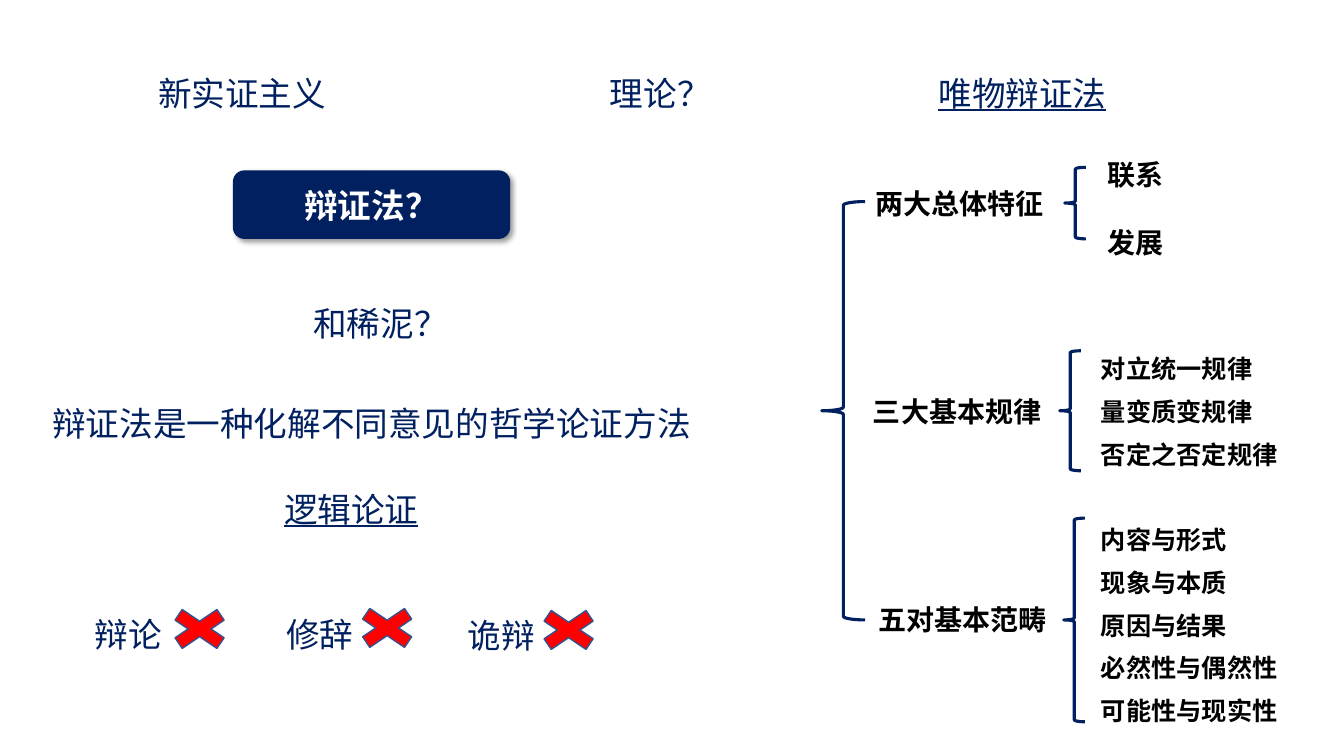
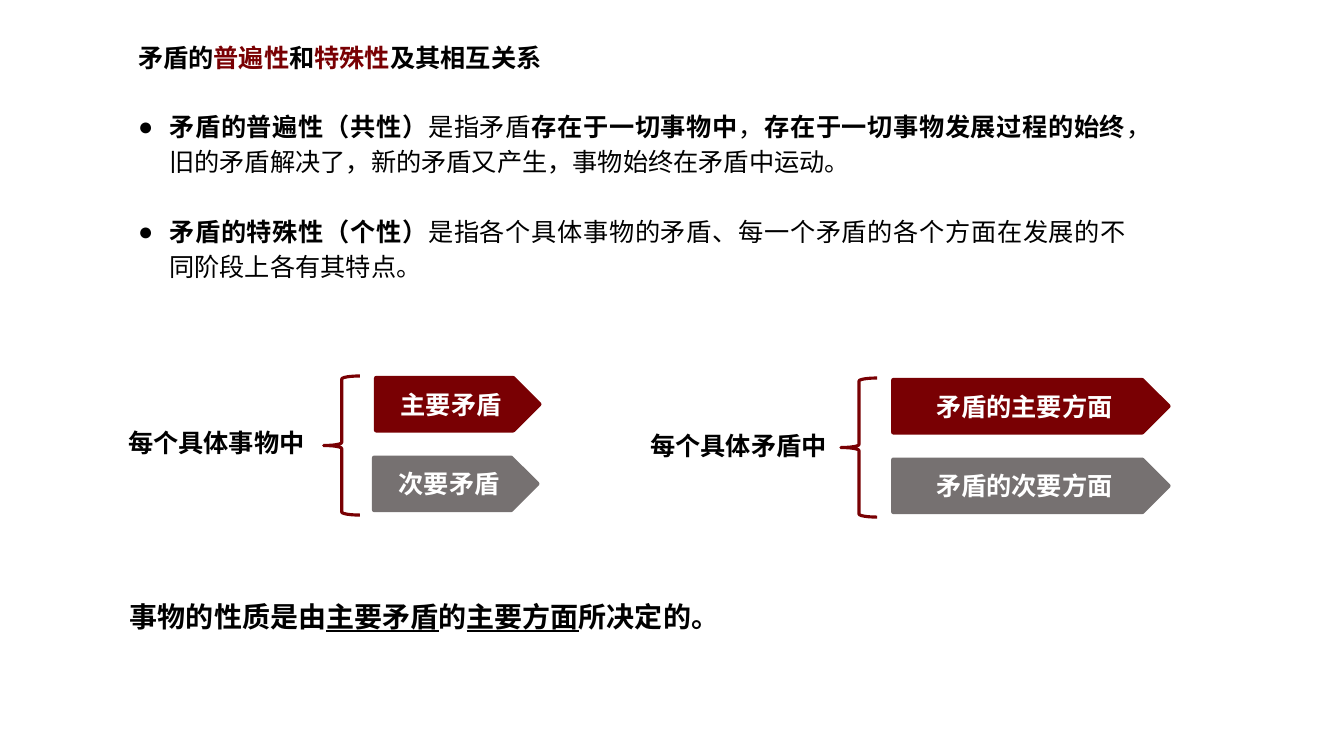
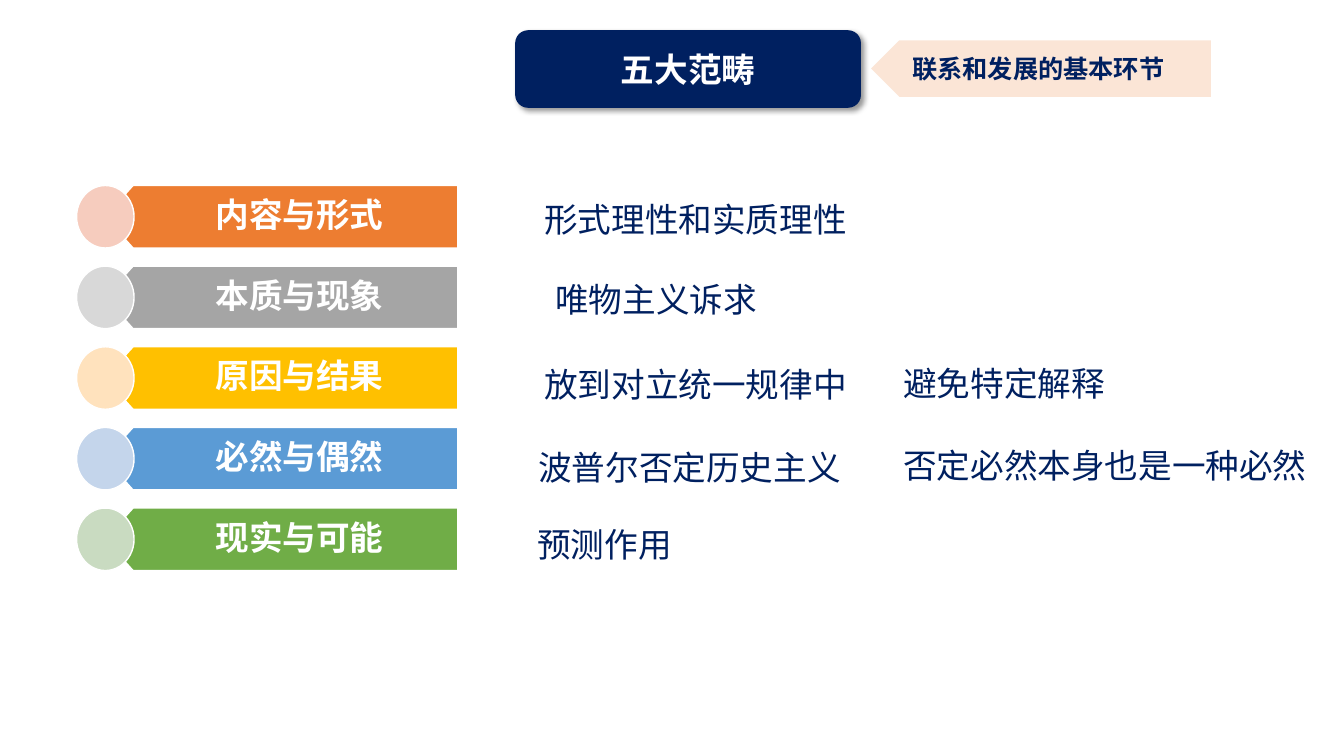
from lxml import etree
from pptx import Presentation
from pptx import util as u
from pptx.dml.color import RGBColor
from pptx.enum import lang, shapes, text
from pptx.oxml import ns

PX = 9144  # 100 px to the inch
NAVY, MAROON, GREY, BLACK, WHITE = "002060", "790003", "767171", "000000", "FFFFFF"
RED, CROSS_EDGE, PEACH = "FF0000", "325491", "FBE5D6"
HEADING, PLAIN = "Noto Sans CJK SC", "Arial"
SHAPE, ALIGN, ANCHOR = shapes.MSO_SHAPE, text.PP_ALIGN, text.MSO_ANCHOR
TITLE_ONLY, TITLE_AND_BODY = 5, 1

# Slide 1: (text, left, top, width, underlined)
OPINIONS = [
    ("新实证主义", 147, 59, 193, False),
    ("理论？", 595, 59, 193, False),
    ("唯物辩证法", 921, 59, 193, True),
    ("和稀泥？", 301, 288, 193, False),
    ("辩证法是一种化解不同意见的哲学论证方法", 42, 387, 660, False),
    ("逻辑论证", 272, 472, 193, True),
]
REJECTED = [("辩论", 84, 596, 158, 597), ("修辞", 274, 596, 344, 596), ("诡辩", 454, 597, 524, 598)]
MAIN_BRACE = (815, 200, 43, 415)
# label, its box; brace; items, their box, size, space between, anchor
BRANCHES = [
    ("两大总体特征", (858, 180, 195, 44), (1056, 166, 21, 71),
     ["联系", "发展"], (1089, 156, 195, 101), 20, 25, ANCHOR.TOP),
    ("三大基本规律", (856, 386, 195, 44), (1051, 348, 21, 119),
     ["对立统一规律", "量变质变规律", "否定之否定规律"],
     (1092, 380, 230, 56), 18, 9, ANCHOR.MIDDLE),
    ("五对基本范畴", (861, 593, 195, 44), (1055, 514, 21, 202),
     ["内容与形式", "现象与本质", "原因与结果", "必然性与偶然性", "可能性与现实性"],
     (1092, 542, 230, 156), 18, 9, ANCHOR.MIDDLE),
]

# Slide 2: parts between bars are emphasised
CONTRADICTION_TITLE = "矛盾的|普遍性|和|特殊性|及其相互关系"
DEFINITIONS = [
    "|矛盾的普遍性（共性）|是指矛盾|存在于一切事物中|，|存在于一切事物发展过程的始终"
    "|，旧的矛盾解决了，新的矛盾又产生，事物始终在矛盾中运动。",
    "|矛盾的特殊性（个性）|是指各个具体事物的矛盾、每一个矛盾的各个方面在发展的不同阶段上各有其特点。",
]
CONCLUSION = "事物的性质是由|主要矛盾|的|主要方面|所决定的。"
# label, label left and top, brace left and top, arrow width, (text, left, top, colour)
PAIRS = [
    ("每个具体事物中", (127, 413), (321, 373), 162,
     [("主要矛盾", 373, 375, MAROON), ("次要矛盾", 371, 454, GREY)]),
    ("每个具体矛盾中", (645, 416), (834, 375), 273,
     [("矛盾的主要方面", 886, 377, MAROON), ("矛盾的次要方面", 886, 456, GREY)]),
]

# Slide 3: category, bar colour, dot colour
CATEGORIES = [
    ("内容与形式", "ED7D31", "F6CCBE"),
    ("本质与现象", "A5A5A5", "D8D8D8"),
    ("原因与结果", "FFC000", "FFE2BD"),
    ("必然与偶然", "5B9BD5", "C4D5EB"),
    ("现实与可能", "70AD47", "C9DBC1"),
]
REMARKS = [
    ("形式理性和实质理性", 530, 184, 371),
    ("唯物主义诉求", 541, 264, 371),
    ("放到对立统一规律中", 530, 348, 371),
    ("避免特定解释", 886, 347, 371),
    ("波普尔否定历史主义", 524, 430, 371),
    ("否定必然本身也是一种必然", 886, 428, 443),
    ("预测作用", 523, 507, 371),
]


def px(*lengths):
    return [u.Emu(length * PX) for length in lengths]


def rgb(value):
    return RGBColor.from_string(value)


def style_run(run, size, color, bold=False, underline=False, font=HEADING):
    run.font.size, run.font.bold, run.font.name = u.Pt(size), bold, font
    run.font.color.rgb = rgb(color)
    run.font.language_id = lang.MSO_LANGUAGE_ID.SIMPLIFIED_CHINESE
    if underline:
        run.font.underline = True
    east_asian = etree.SubElement(run.font._element, ns.qn("a:ea"))
    east_asian.set("typeface", PLAIN)


def style_paragraph(paragraph, align=ALIGN.LEFT, line=1.0, before=0, after=0):
    paragraph.alignment, paragraph.line_spacing = align, line
    paragraph.space_before, paragraph.space_after = u.Pt(before), u.Pt(after)


def add_marked_runs(paragraph, marked, size, base, emphasis):
    """Split the text at bars; every second part gets the emphasis style."""
    for index, part in enumerate(marked.split("|")):
        if part:
            run = paragraph.add_run()
            run.text = part
            style_run(run, size, **(emphasis if index % 2 else base))


def set_frame(frame, anchor=ANCHOR.TOP, insets=(10, 5, 10, 5)):
    frame.word_wrap, frame.auto_size = True, text.MSO_AUTO_SIZE.NONE
    frame.vertical_anchor = anchor
    frame.margin_left, frame.margin_top, frame.margin_right, frame.margin_bottom = px(*insets)


def place(shape, box):
    shape.left, shape.top, shape.width, shape.height = px(*box)


def fill_frame(frame, lines, size, color, bold=True, underline=False, font=HEADING,
               gap=0, **paragraph_style):
    frame.text = "\n".join(lines)
    for index, paragraph in enumerate(frame.paragraphs):
        style_paragraph(paragraph, **{"before": gap if index else 0, **paragraph_style})
        for run in paragraph.runs:
            style_run(run, size, color, bold, underline, font)


def add_text(slide, lines, box, size, color=BLACK, anchor=ANCHOR.TOP, insets=(10, 5, 10, 5), **style):
    frame = slide.shapes.add_textbox(*px(*box)).text_frame
    set_frame(frame, anchor, insets)
    fill_frame(frame, lines, size, color, **style)


def add_remark(slide, words, left, top, width, underline=False):
    add_text(slide, [words], (left, top, width, 54), 24, NAVY, bold=False, underline=underline,
             font=PLAIN, align=ALIGN.JUSTIFY, line=1.2, before=14)


def paint(shape, fill=None, line=None, width=1):
    shape.shadow.inherit = False
    if fill:
        shape.fill.solid()
        shape.fill.fore_color.rgb = rgb(fill)
    else:
        shape.fill.background()
    if line:
        shape.line.color.rgb, shape.line.width = rgb(line), u.Pt(width)
    else:
        shape.line.fill.background()


def add_preset(slide, kind, box, **look):
    shape = slide.shapes.add_shape(kind, *px(*box))
    paint(shape, **look)
    return shape


def add_brace(slide, box, color):
    add_preset(slide, SHAPE.LEFT_BRACE, box, line=color, width=2.25)


def add_badge_title(slide, words, box):
    """Put the slide title on a navy rounded panel with a soft shadow."""
    panel = add_preset(slide, SHAPE.ROUNDED_RECTANGLE, box, fill=NAVY)
    effects = panel.element.spPr.find(ns.qn("a:effectLst"))
    shadow = etree.SubElement(effects, ns.qn("a:outerShdw"), blurRad=str(u.Pt(4)),
                              dist=str(u.Pt(3)), dir="2700000", algn="tl", rotWithShape="0")
    color = etree.SubElement(shadow, ns.qn("a:srgbClr"), val=BLACK)
    etree.SubElement(color, ns.qn("a:alpha"), val="40000")
    title = slide.shapes.title
    place(title, box)
    set_frame(title.text_frame, ANCHOR.MIDDLE)
    fill_frame(title.text_frame, [words], 24, WHITE, align=ALIGN.CENTER)
    panel.element.addnext(title.element)


def set_bullet(paragraph, indent):
    properties = paragraph._p.get_or_add_pPr()
    properties.set("marL", str(indent * PX))
    properties.set("indent", str(-indent * PX))
    etree.SubElement(properties, ns.qn("a:buFont"), typeface=PLAIN)
    etree.SubElement(properties, ns.qn("a:buChar"), char="●")


def new_slide(presentation, layout):
    return presentation.slides.add_slide(presentation.slide_layouts[layout])


def build_dialectics(presentation):
    slide = new_slide(presentation, TITLE_ONLY)
    add_badge_title(slide, "辩证法？", (231, 169, 275, 68))
    for opinion in OPINIONS:
        add_remark(slide, *opinion)
    for words, left, top, cross_left, cross_top in REJECTED:
        add_remark(slide, words, left, top, 193)
        add_preset(slide, SHAPE.MATH_MULTIPLY, (cross_left, cross_top, 80, 54),
                   fill=RED, line=CROSS_EDGE)
    add_brace(slide, MAIN_BRACE, NAVY)
    for label, label_box, brace, items, items_box, size, gap, anchor in BRANCHES:
        add_text(slide, [label], label_box, 20)
        add_brace(slide, brace, NAVY)
        insets = (0, 0, 0, 0) if anchor == ANCHOR.MIDDLE else (10, 0, 10, 0)
        add_text(slide, items, items_box, size, anchor=anchor, insets=insets, gap=gap)


def build_contradiction(presentation):
    slide = new_slide(presentation, TITLE_AND_BODY)
    bold_black = {"color": BLACK, "bold": True}
    exact = {"align": ALIGN.JUSTIFY, "line": u.Pt(25)}

    title, body = slide.shapes.title, slide.placeholders[1]
    place(title, (127, 32, 1000, 45))
    place(body, (127, 101, 1000, 200))
    for placeholder in (title, body):
        set_frame(placeholder.text_frame)
    heading = title.text_frame.paragraphs[0]
    style_paragraph(heading, **exact)
    add_marked_runs(heading, CONTRADICTION_TITLE, 18, bold_black, {"color": MAROON, "bold": True})
    for index, definition in enumerate(DEFINITIONS):
        frame = body.text_frame
        paragraph = frame.add_paragraph() if index else frame.paragraphs[0]
        style_paragraph(paragraph, before=25 if index else 0, **exact)
        set_bullet(paragraph, 31)
        add_marked_runs(paragraph, definition, 18, {"color": BLACK}, bold_black)

    for label, label_at, brace_at, width, arrows in PAIRS:
        add_text(slide, [label], (*label_at, 180, 56), 18, anchor=ANCHOR.MIDDLE,
                 insets=(0, 0, 0, 0), align=ALIGN.JUSTIFY, line=u.Pt(19))
        add_brace(slide, (*brace_at, 36, 138), MAROON)
        for words, left, top, color in arrows:
            arrow = add_preset(slide, SHAPE.PENTAGON, (left, top, width, 52),
                               fill=color, line=color, width=3)
            set_frame(arrow.text_frame, ANCHOR.MIDDLE)
            fill_frame(arrow.text_frame, [words], 18, WHITE, align=ALIGN.CENTER)

    conclusion = slide.shapes.add_textbox(*px(119, 597, 667, 37)).text_frame
    set_frame(conclusion)
    paragraph = conclusion.paragraphs[0]
    style_paragraph(paragraph, ALIGN.JUSTIFY, u.Pt(19))
    add_marked_runs(paragraph, CONCLUSION, 20, bold_black, {**bold_black, "underline": True})


def add_category(slide, words, top, bar_color, dot_color):
    left, shoulder, right, height = 104, 132, 454, 62
    builder = slide.shapes.build_freeform(right, top + height, scale=PX)
    builder.add_line_segments([(shoulder, top + height), (left, top + height // 2),
                               (shoulder, top), (right, top)], close=True)
    bar = builder.convert_to_shape()
    paint(bar, fill=bar_color, line=WHITE)
    set_frame(bar.text_frame, ANCHOR.MIDDLE, (66, 16, 30, 16))
    fill_frame(bar.text_frame, [words], 24, WHITE, align=ALIGN.CENTER, line=0.9)
    add_preset(slide, SHAPE.OVAL, (76, top, 57, height), fill=dot_color, line=WHITE)


def build_categories(presentation):
    slide = new_slide(presentation, TITLE_ONLY)
    add_badge_title(slide, "五大范畴", (511, 30, 343, 77))
    tag = add_preset(slide, SHAPE.PENTAGON, (864, 40, 337, 56), fill=PEACH)
    tag.rotation = 180
    add_text(slide, ["联系和发展的基本环节"], (895, 48, 321, 40), 18, NAVY)
    for row, (words, bar_color, dot_color) in enumerate(CATEGORIES):
        add_category(slide, words, 184 + 80 * row, bar_color, dot_color)
    for remark in REMARKS:
        add_remark(slide, *remark)


def main():
    presentation = Presentation()
    presentation.slide_width, presentation.slide_height = px(1333, 750)
    build_dialectics(presentation)
    build_contradiction(presentation)
    build_categories(presentation)
    presentation.save("out.pptx")


if __name__ == "__main__":
    main()
